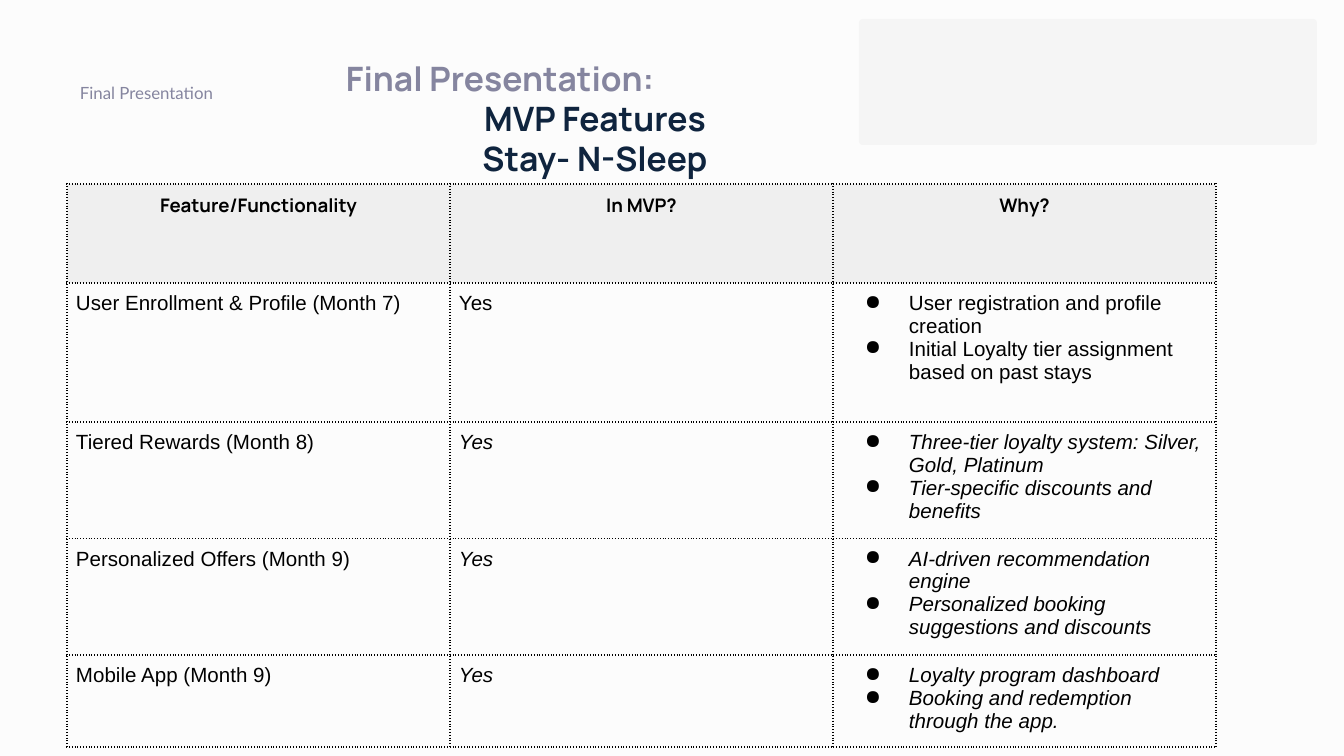
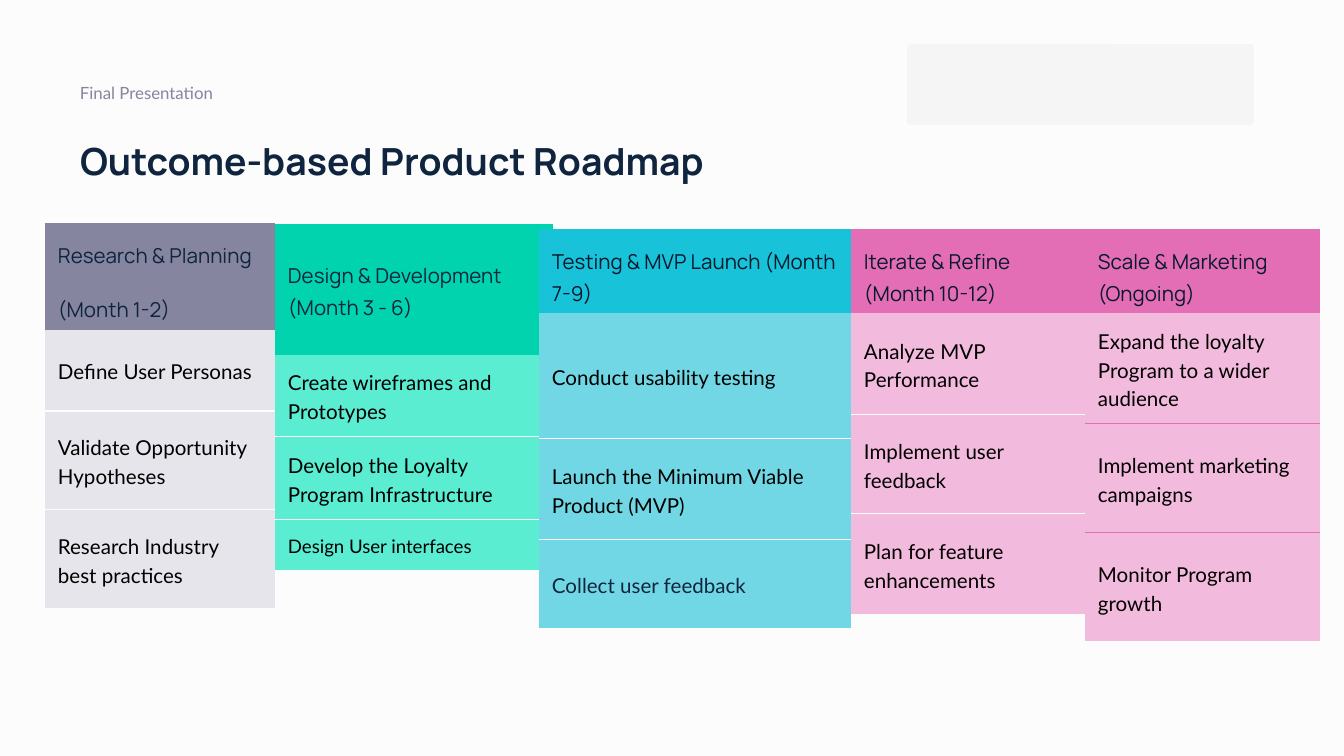
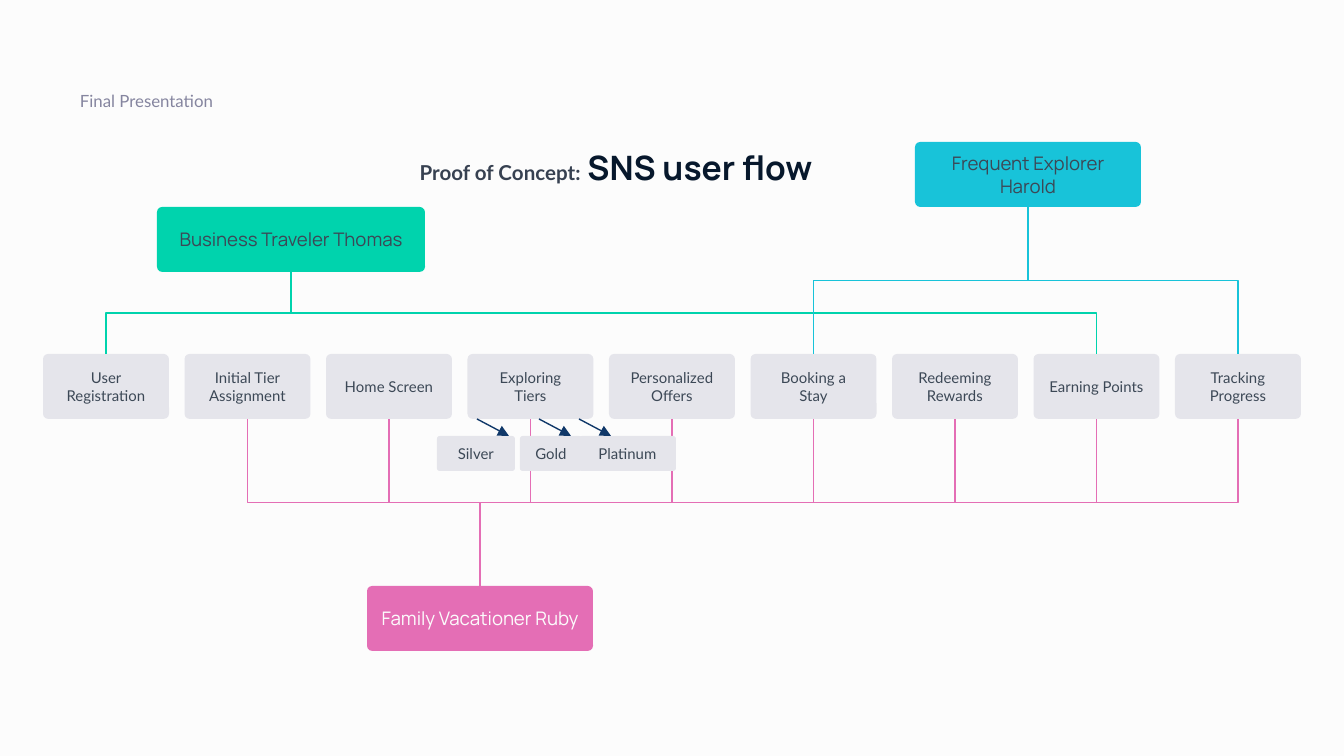
from lxml import etree
from pptx import Presentation
from pptx.dml.color import RGBColor
from pptx.enum.shapes import MSO_CONNECTOR, MSO_SHAPE
from pptx.enum.text import MSO_ANCHOR, PP_ALIGN
from pptx.oxml.ns import qn
from pptx.util import Emu, Pt

ROUNDED = MSO_SHAPE.ROUNDED_RECTANGLE
STRAIGHT, ELBOW = MSO_CONNECTOR.STRAIGHT, MSO_CONNECTOR.ELBOW
LEFT, CENTER = PP_ALIGN.LEFT, PP_ALIGN.CENTER
TOP, MIDDLE = MSO_ANCHOR.TOP, MSO_ANCHOR.MIDDLE

PAPER = RGBColor(0xFC, 0xFC, 0xFC)
PANEL = RGBColor(0xF5, 0xF5, 0xF5)
HEADER_GRAY = RGBColor(0xEF, 0xEF, 0xEF)
BLACK = RGBColor(0x00, 0x00, 0x00)
NAVY = RGBColor(0x0F, 0x24, 0x3E)
INK = RGBColor(0x07, 0x18, 0x2C)
SLATE = RGBColor(0x3C, 0x48, 0x56)
GRAPHITE = RGBColor(0x37, 0x41, 0x51)
ARROW_BLUE = RGBColor(0x10, 0x38, 0x69)
MAUVE, MAUVE_PALE = RGBColor(0x85, 0x85, 0x9F), RGBColor(0xE5, 0xE5, 0xEB)
GREEN, GREEN_PALE = RGBColor(0x00, 0xD3, 0xAD), RGBColor(0x5A, 0xED, 0xD2)
CYAN, CYAN_PALE = RGBColor(0x18, 0xC3, 0xD9), RGBColor(0x72, 0xD7, 0xE4)
PINK, PINK_PALE = RGBColor(0xE4, 0x6E, 0xB5), RGBColor(0xF2, 0xBA, 0xDC)

HEAD, BODY, PLAIN = "Manrope", "Lato", "Arial"
NO_TABLE_STYLE = "{2D5ABB26-0587-4C30-8999-92F81FD0307C}"
INSET, CELL_INSET = 13, 9

# Slide 1
FEATURE_HEADS = ["Feature/Functionality", "In MVP?", "Why?"]
FEATURES = [
    ("User Enrollment & Profile (Month 7)", "Yes",
     ["User registration and profile creation",
      "Initial Loyalty tier assignment based on past stays"]),
    ("Tiered Rewards (Month 8)", "Yes",
     ["Three-tier loyalty system: Silver, Gold, Platinum",
      "Tier-specific discounts and benefits"]),
    ("Personalized Offers (Month 9)", "Yes",
     ["AI-driven recommendation engine",
      "Personalized booking suggestions and discounts"]),
    ("Mobile App (Month 9)", "Yes",
     ["Loyalty program dashboard",
      "Booking and redemption through the app."]),
]
FEATURE_ROWS = [99, 139, 115, 115, 91]


def item(text, size=11, color=BLACK):
    return text, size, color


# Slide 2: left, top, width, row heights, header colour, body colour,
# rule colour, header text colour, header lines, items
PHASES = [
    (45, 224, 230, [78, 82, 99, 99], MAUVE, MAUVE_PALE, PAPER, NAVY,
     ["Research & Planning", "(Month 1-2)"],
     [item("Define User Personas"),
      item("Validate Opportunity Hypotheses"),
      item("Research Industry best practices")]),
    (275, 225, 278, [129, 82, 58, 38], GREEN, GREEN_PALE, PAPER, NAVY,
     ["Design & Development (Month 3 - 6)"],
     [item("Create wireframes and Prototypes"),
      item("Develop the Loyalty Program Infrastructure"),
      item("Design User interfaces", size=10)]),
    (539, 230, 312, [73, 126, 101, 89], CYAN, CYAN_PALE, PAPER, INK,
     ["Testing & MVP Launch (Month 7-9)"],
     [item("Conduct usability testing"),
      item("Launch the Minimum Viable Product (MVP)"),
      item("Collect user feedback", color=NAVY)]),
    (851, 230, 234, [73, 102, 99, 101], PINK, PINK_PALE, PAPER, INK,
     ["Iterate & Refine (Month 10-12)"],
     [item("Analyze MVP Performance"),
      item("Implement user feedback"),
      item("Plan for feature enhancements")]),
    (1085, 230, 235, [73, 99, 109, 109], PINK, PINK_PALE, PINK, INK,
     ["Scale & Marketing (Ongoing)"],
     [item("Expand the loyalty Program to a wider audience"),
      item("Implement marketing campaigns"),
      item("Monitor Program growth")]),
]

# Slide 3
STEPS = ["User Registration", "Initial Tier Assignment", "Home Screen",
         "Exploring Tiers", "Personalized Offers", "Booking a Stay",
         "Redeeming Rewards", "Earning Points", "Tracking Progress"]
STEP_LEFT, STEP_TOP, STEP_PITCH, STEP_W, BOX_H = 43, 354, 141.5, 126, 65
# name, left, top, width, fill, text colour, indexes of the steps used
PERSONAS = [
    ("Business Traveler Thomas", 157, 207, 268, GREEN, SLATE, [0, 7]),
    ("Frequent Explorer Harold", 915, 142, 226, CYAN, SLATE, [5, 8]),
    ("Family Vacationer Ruby", 367, 586, 226, PINK, PAPER, range(1, 9)),
]
TIER_TOP, TIER_H = 436, 35
# name, left, width, start of its arrow
TIERS = [("Silver", 437, 78, 477), ("Gold", 520, 62, 539),
         ("Platinum", 579, 97, 579)]


def px(n):
    return Emu(round(n * 914400 / 134.4))


def add_run(p, text, size, font, color, bold=False, italic=False):
    r = p.add_run()
    r.text = text
    f = r.font
    f.size, f.name, f.bold, f.italic = Pt(size), font, bold, italic
    f.color.rgb = color


def next_paragraph(tf, align=LEFT, spacing=None):
    """Return the unused first paragraph, or a new one."""
    p = tf.paragraphs[0] if not tf.paragraphs[0].runs else tf.add_paragraph()
    p.alignment = align
    if spacing:
        p.line_spacing = spacing
    return p


def set_frame(obj, inset, anchor):
    """Set margins and anchor of a text frame or table cell."""
    obj.margin_left = obj.margin_right = px(inset)
    obj.margin_top = obj.margin_bottom = px(inset)
    obj.vertical_anchor = anchor


def add_text(s, x, y, w, h, anchor=MIDDLE):
    tf = s.shapes.add_textbox(px(x), px(y), px(w), px(h)).text_frame
    tf.word_wrap = True
    set_frame(tf, INSET, anchor)
    return tf


def add_box(s, x, y, w, h, fill, radius):
    sp = s.shapes.add_shape(ROUNDED, px(x), px(y), px(w), px(h))
    sp.adjustments[0] = radius
    sp.shadow.inherit = False
    sp.fill.solid()
    sp.fill.fore_color.rgb = fill
    sp.line.fill.background()
    return sp


def add_label(s, x, y, w, h, fill, text, size, font, color):
    tf = add_box(s, x, y, w, h, fill, 0.08).text_frame
    tf.word_wrap = True
    set_frame(tf, INSET, MIDDLE)
    add_run(next_paragraph(tf, CENTER), text, size, font, color)


def add_line(s, kind, x1, y1, x2, y2, color):
    c = s.shapes.add_connector(kind, px(x1), px(y1), px(x2), px(y2))
    c.line.color.rgb = color
    c.line.width = Pt(0.75)
    etree.SubElement(c._element.spPr, qn("a:effectLst"))
    return c


def add_vertical_elbow(s, x1, y1, x2, y2, color):
    """Elbow that leaves and arrives vertically: a turned horizontal elbow."""
    cx, cy = (x1 + x2) / 2, (y1 + y2) / 2
    half_w, half_h = abs(y2 - y1) / 2, abs(x2 - x1) / 2
    if (x2 > x1) == (y2 > y1):
        half_w = -half_w
    c = add_line(s, ELBOW, cx - half_w, cy - half_h,
                 cx + half_w, cy + half_h, color)
    turn = 270 if x2 > x1 else 90
    c._element.spPr.find(qn("a:xfrm")).set("rot", str(turn * 60000))


def add_arrow(s, x1, y1, x2, y2, color):
    c = add_line(s, STRAIGHT, x1, y1, x2, y2, color)
    etree.SubElement(c.line._get_or_add_ln(), qn("a:tailEnd"), type="triangle")


def add_table(s, x, y, cols, rows):
    frame = s.shapes.add_table(len(rows), len(cols), px(x), px(y),
                               px(sum(cols)), px(sum(rows)))
    table = frame.table
    table.first_row = table.horz_banding = False
    table._tbl.tblPr.find(qn("a:tableStyleId")).text = NO_TABLE_STYLE
    for col, w in zip(table.columns, cols):
        col.width = px(w)
    for row, h in zip(table.rows, rows):
        row.height = px(h)
    return table


def set_fill(cell, color):
    cell.fill.solid()
    cell.fill.fore_color.rgb = color


def set_borders(cell, borders, width, dash="solid"):
    """borders: (side, colour) pairs in the order L, R, T, B."""
    tcPr = cell._tc.get_or_add_tcPr()
    for i, (side, color) in enumerate(borders):
        ln = etree.Element(qn("a:ln" + side), w=str(Pt(width)))
        fill = etree.SubElement(ln, qn("a:solidFill"))
        etree.SubElement(fill, qn("a:srgbClr"), val=str(color))
        etree.SubElement(ln, qn("a:prstDash"), val=dash)
        tcPr.insert(i, ln)


def set_bullet(p):
    pPr = p._p.get_or_add_pPr()
    pPr.set("marL", str(px(67)))
    pPr.set("indent", str(px(-44)))
    color = etree.SubElement(pPr, qn("a:buClr"))
    etree.SubElement(color, qn("a:srgbClr"), val=str(BLACK))
    etree.SubElement(pPr, qn("a:buChar"), char="●")


def new_slide(prs, tag_top=67):
    s = prs.slides.add_slide(prs.slide_layouts[6])
    s.background.fill.solid()
    s.background.fill.fore_color.rgb = PAPER
    tf = add_text(s, 67, tag_top, 1133, 51)
    add_run(next_paragraph(tf), "Final Presentation", 9, BODY, MAUVE)
    return s


def build_features(prs):
    s = new_slide(prs)
    add_box(s, 859, 19, 458, 126, PANEL, 0.03)
    table = add_table(s, 67, 184, [383] * 3, FEATURE_ROWS)
    for r, row in enumerate([FEATURE_HEADS] + FEATURES):
        for c, content in enumerate(row):
            cell = table.cell(r, c)
            set_frame(cell, CELL_INSET, TOP)
            cell.fill.background()
            tf = cell.text_frame
            if r == 0:
                set_fill(cell, HEADER_GRAY)
                add_run(next_paragraph(tf, CENTER), content, 10, HEAD, BLACK,
                        bold=True)
            else:
                bulleted = isinstance(content, list)
                for text in content if bulleted else [content]:
                    p = next_paragraph(tf)
                    if bulleted:
                        set_bullet(p)
                    add_run(p, text, 11, PLAIN, BLACK,
                            italic=r > 1 and c > 0)
            set_borders(cell, [(side, BLACK) for side in "LRTB"], 1, "sysDot")
    tf = add_text(s, 333, 55, 524, 126)
    for text, align, color in [("Final Presentation:", LEFT, MAUVE),
                               ("MVP Features", CENTER, NAVY),
                               ("Stay- N-Sleep", CENTER, NAVY)]:
        add_run(next_paragraph(tf, align), text, 18, HEAD, color, bold=True)


def build_roadmap(prs):
    s = new_slide(prs)
    add_box(s, 907, 44, 347, 81, PANEL, 0.05)
    tf = add_text(s, 67, 129, 1165, 63)
    add_run(next_paragraph(tf), "Outcome-based Product Roadmap", 20, HEAD,
            NAVY, bold=True)
    for x, y, w, rows, dark, pale, rule, ink, heads, items in PHASES:
        table = add_table(s, x, y, [w], rows)
        edges = [dark, dark, rule, rule, PAPER]
        for r in range(len(rows)):
            cell = table.cell(r, 0)
            set_frame(cell, INSET, MIDDLE)
            set_fill(cell, pale if r else dark)
            set_borders(cell, [("T", edges[r]), ("B", edges[r + 1])], 0.75)
        for i, text in enumerate(heads):
            p = next_paragraph(table.cell(0, 0).text_frame, spacing=1.15)
            if i:
                p.space_before = Pt(12)
            add_run(p, text, 11, HEAD, ink)
        for r, (text, size, color) in enumerate(items, 1):
            p = next_paragraph(table.cell(r, 0).text_frame, spacing=1.15)
            add_run(p, text, size, BODY, color)


def build_user_flow(prs):
    s = new_slide(prs, tag_top=75)
    step_x = [STEP_LEFT + i * STEP_PITCH for i in range(len(STEPS))]
    for x, name in zip(step_x, STEPS):
        add_label(s, x, STEP_TOP, STEP_W, BOX_H, MAUVE_PALE, name, 8, BODY,
                  SLATE)
    for name, x, y, w, fill, color, used in PERSONAS:
        add_label(s, x, y, w, BOX_H, fill, name, 10, HEAD, color)
        above = y < STEP_TOP
        start_y = y + BOX_H if above else y
        end_y = STEP_TOP if above else STEP_TOP + BOX_H
        for i in used:
            add_vertical_elbow(s, x + w / 2, start_y,
                               step_x[i] + STEP_W / 2, end_y, fill)

    p = next_paragraph(add_text(s, 327, 128, 578, 79, TOP), CENTER, 1.15)
    p.space_before = p.space_after = Pt(15)
    add_run(p, "Proof of Concept:", 11, BODY, GRAPHITE, bold=True)
    add_run(p, " SNS user flow", 18, HEAD, INK, bold=True)

    for name, x, w, arrow_x in TIERS:
        add_label(s, x, TIER_TOP, w, TIER_H, MAUVE_PALE, name, 8, BODY, SLATE)
        add_arrow(s, arrow_x, STEP_TOP + BOX_H, arrow_x + 32, TIER_TOP,
                  ARROW_BLUE)


def main():
    prs = Presentation()
    prs.slide_width, prs.slide_height = px(1344), px(756)
    build_features(prs)
    build_roadmap(prs)
    build_user_flow(prs)
    prs.save("out.pptx")


if __name__ == "__main__":
    main()
